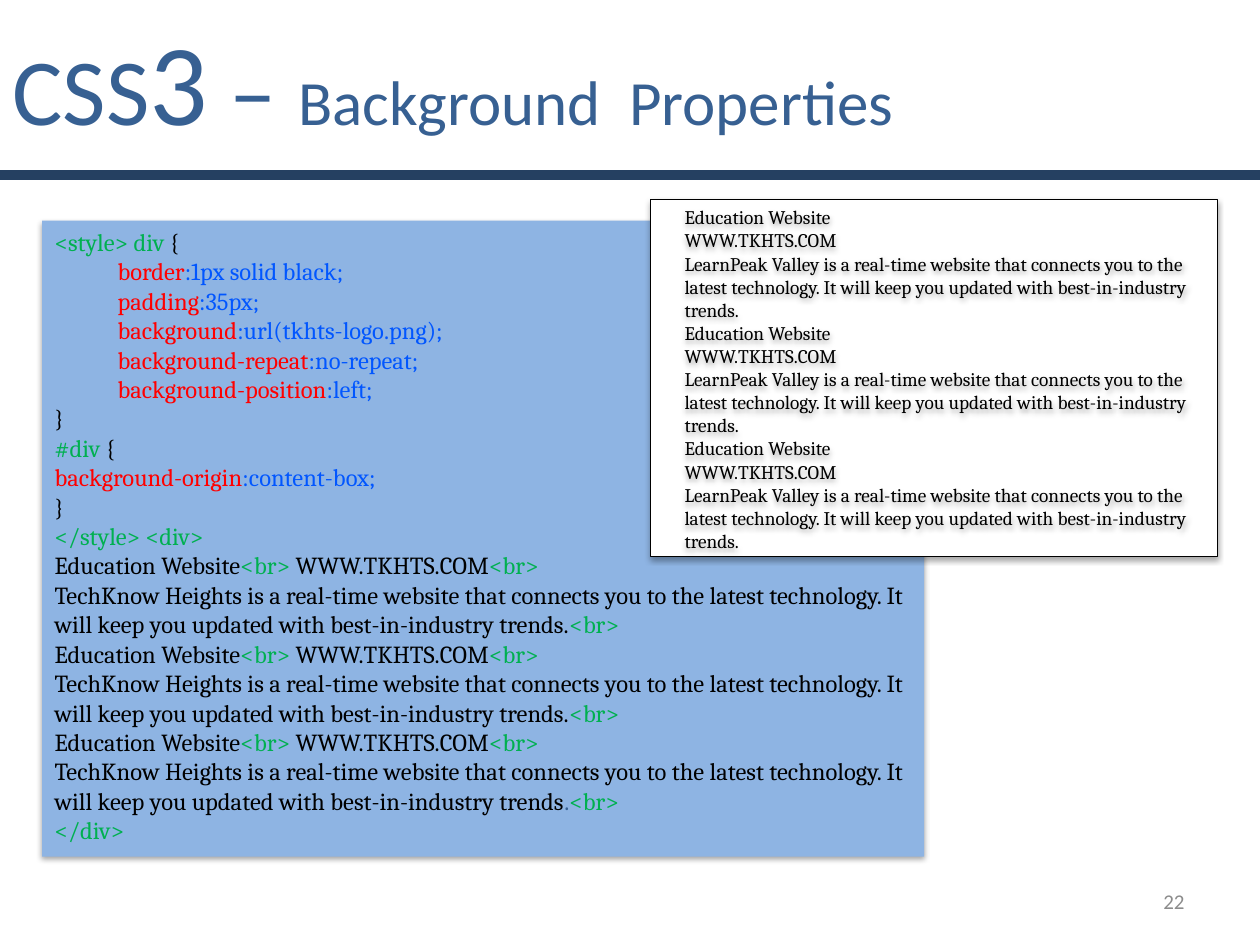
from lxml.etree import SubElement
from pptx import Presentation
from pptx.dml.color import RGBColor
from pptx.enum.shapes import MSO_SHAPE
from pptx.enum.text import MSO_ANCHOR, PP_ALIGN
from pptx.oxml.ns import qn
from pptx.util import Cm, Pt

GREEN, RED, BLUE, BLACK, NAVY = "00B050", "FF0000", "0156FF", "000000", "376092"
SITE = "Education Website"
URL = "WWW.TKHTS.COM"
CLAIM = (" is a real-time website that connects you to the latest technology. "
         "It will keep you updated with best-in-industry trends")


def rgb(color):
    """Turn a hex string into a colour."""
    return RGBColor.from_string(color)


def add_runs(p, runs, font):
    """Fill a paragraph with (text, size, colour) runs."""
    for text, size, color in runs:
        r = p.add_run()
        r.text = text
        r.font.name = font
        r.font.size = Pt(size)
        r.font.color.rgb = rgb(color)


def add_lines(tf, lines, size, font):
    """Write one paragraph for each list of (text, colour) pieces."""
    tf.word_wrap = True
    for i, line in enumerate(lines):
        p = tf.paragraphs[0] if i == 0 else tf.add_paragraph()
        p.alignment = PP_ALIGN.LEFT
        add_runs(p, [(text, size, color) for text, color in line], font)


def add_shadow(sp):
    """Give a shape a soft shadow below it."""
    sp.shadow.inherit = False
    effects = sp._element.spPr.find(qn("a:effectLst"))
    shadow = SubElement(effects, qn("a:outerShdw"), blurRad="40000",
                        dist="23000", dir="5400000", rotWithShape="0")
    color = SubElement(shadow, qn("a:srgbClr"), val=BLACK)
    SubElement(color, qn("a:alpha"), val="35000")


def add_rect(s, box, fill, line=None, width=0.75):
    """Add a filled rectangle with an optional outline."""
    sp = s.shapes.add_shape(MSO_SHAPE.RECTANGLE, *map(Cm, box))
    sp.shadow.inherit = False
    sp.fill.solid()
    sp.fill.fore_color.rgb = rgb(fill)
    if line:
        sp.line.color.rgb = rgb(line)
        sp.line.width = Pt(width)
    else:
        sp.line.fill.background()
    return sp


def add_text(s, box, lines, size, font):
    """Add a wrapping text box."""
    sp = s.shapes.add_textbox(*map(Cm, box))
    add_lines(sp.text_frame, lines, size, font)
    return sp


def set_title(s):
    """Place and format the title."""
    sp = s.shapes.title
    sp.left, sp.top, sp.width, sp.height = Cm(0), Cm(-0.2), Cm(19.47), Cm(3.6)
    tf = sp.text_frame
    tf.vertical_anchor = MSO_ANCHOR.MIDDLE
    p = tf.paragraphs[0]
    p.alignment = PP_ALIGN.LEFT
    pieces = [("CSS", 54), ("3", 66), (" – ", 54), ("Background  Properties", 36)]
    add_runs(p, [(text, size, NAVY) for text, size in pieces], "Calibri")


def code_lines():
    """Return the coloured lines of the style sheet and its markup."""
    rules = [("border", "1px solid black"), ("padding", "35px"),
             ("background", "url(tkhts-logo.png)"),
             ("background-repeat", "no-repeat"), ("background-position", "left")]
    lines = [[("<style> div ", GREEN), ("{", BLACK)]]
    lines += [[(f"\t{name}", RED), (f":{value};", BLUE)] for name, value in rules]
    lines += [[("}", BLACK)],
              [("#div ", GREEN), ("{", BLACK)],
              [("background-origin", RED), (":content-box;", BLUE)],
              [("}", BLACK)],
              [("</style> <div>", GREEN)]]
    for stop_color in (BLACK, BLACK, NAVY):
        lines += [[(SITE, BLACK), ("<br> ", GREEN), (URL, BLACK), ("<br>", GREEN)],
                  [("TechKnow Heights" + CLAIM, BLACK), (".", stop_color),
                   ("<br>", GREEN)]]
    return lines + [[("</div>", GREEN)]]


def main():
    """Build the slide."""
    prs = Presentation()
    prs.slide_width, prs.slide_height = Cm(25.4), Cm(19.05)
    s = prs.slides.add_slide(prs.slide_layouts[5])

    number = add_text(s, (18.2, 17.66, 5.93, 1.01), [[("22", "8C8C8C")]], 12, "Calibri")
    number.text_frame.vertical_anchor = MSO_ANCHOR.MIDDLE
    number.text_frame.paragraphs[0].alignment = PP_ALIGN.RIGHT

    code = add_rect(s, (0.85, 4.45, 17.78, 12.82), "8EB4E3")
    add_shadow(code)
    code.text_frame.vertical_anchor = MSO_ANCHOR.TOP
    add_lines(code.text_frame, code_lines(), 14, "Cambria")

    set_title(s)
    add_rect(s, (0, 3.47, 25.4, 0.13), "254061", "254061", 2)

    add_shadow(add_rect(s, (13.12, 4.02, 11.43, 7.2), "FFFFFF", BLACK))
    result = [SITE, URL, "LearnPeak Valley" + CLAIM + "."] * 3
    output = add_text(s, (13.55, 4.02, 10.8, 7.32),
                      [[(text, BLACK)] for text in result], 11, "Cambria")
    add_shadow(output)

    prs.save("out.pptx")


if __name__ == "__main__":
    main()
